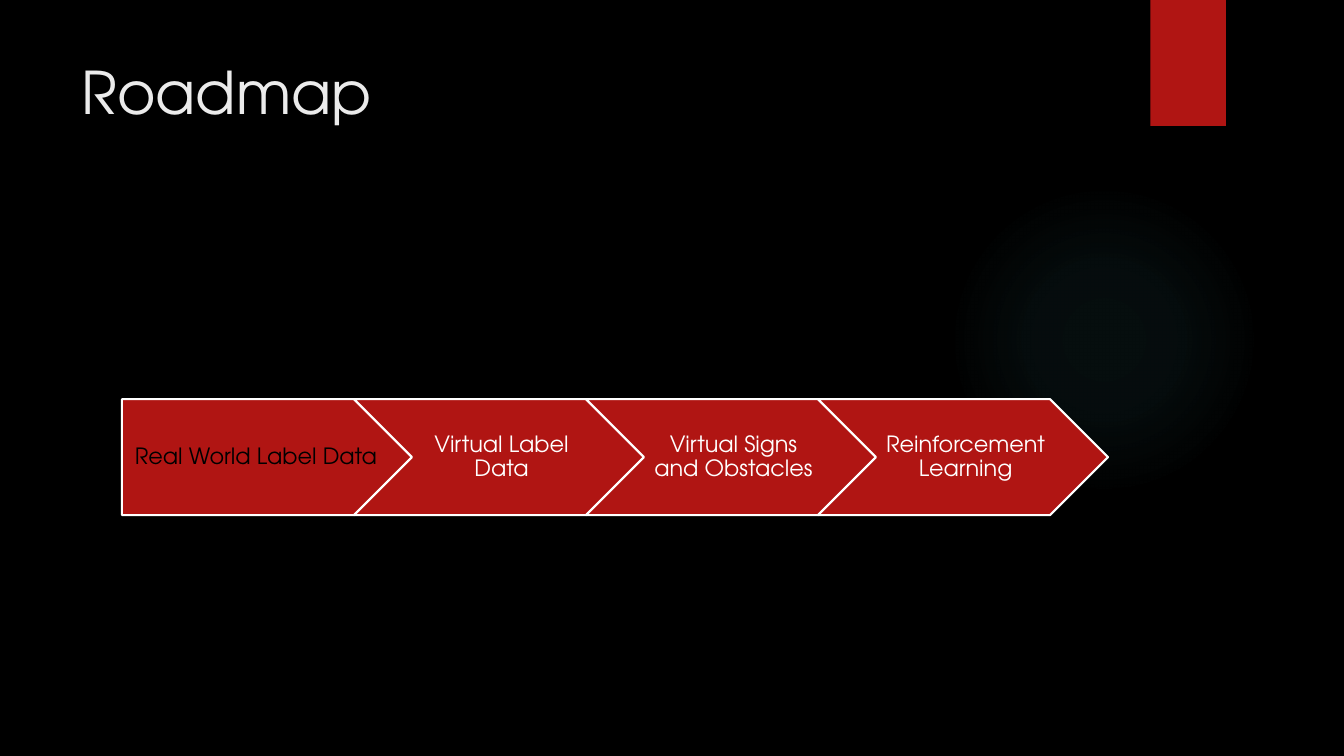
import pptx
import pptx.dml.color
import pptx.enum.shapes
import pptx.enum.text
import pptx.oxml
import pptx.oxml.ns
import pptx.util

Inches = pptx.util.Inches
SHAPE = pptx.enum.shapes.MSO_SHAPE
ANCHOR = pptx.enum.text.MSO_ANCHOR
ALIGN = pptx.enum.text.PP_ALIGN
FONT = "TeX Gyre Adventor"
RED = "B01513"
WHITE = "FFFFFF"
STEPS = [
    ("Real World Label Data", "010000"),
    ("Virtual Label Data", WHITE),
    ("Virtual Signs and Obstacles", WHITE),
    ("Reinforcement Learning", WHITE),
]


def color(code):
    return pptx.dml.color.RGBColor.from_string(code)


def add_shape(shapes, kind, box, fill=None, line=None):
    shape = shapes.add_shape(kind, *map(Inches, box))
    shape.shadow.inherit = False
    if fill:
        shape.fill.solid()
        shape.fill.fore_color.rgb = color(fill)
    else:
        shape.fill.background()
    if line:
        shape.line.color.rgb = color(line)
        shape.line.width = pptx.util.Pt(1.5)
    else:
        shape.line.fill.background()
    return shape


def add_text(shapes, box, text, size, ink, inset, anchor, align):
    frame = shapes.add_textbox(*map(Inches, box)).text_frame
    frame.word_wrap = True
    frame.vertical_anchor = anchor
    frame.margin_left, frame.margin_top, frame.margin_right, frame.margin_bottom = map(Inches, inset)
    para = frame.paragraphs[0]
    para.alignment = align
    run = para.add_run()
    run.text = text
    run.font.size = pptx.util.Pt(size)
    run.font.name = FONT
    run.font.color.rgb = color(ink)
    return para


def add_glow(shapes, box):
    glow = add_shape(shapes, SHAPE.OVAL, box)
    stops = "".join(
        f'<a:gs pos="{spot * 1000}"><a:srgbClr val="50B9C1">'
        f'<a:alpha val="{alpha * 1000}"/></a:srgbClr></a:gs>'
        for spot, alpha in [(0, 7), (36, 6), (69, 0), (100, 0)]
    )
    grad = pptx.oxml.parse_xml(
        f'<a:gradFill {pptx.oxml.ns.nsdecls("a")} rotWithShape="1"><a:gsLst>{stops}</a:gsLst>'
        '<a:path path="circle"><a:fillToRect l="50000" t="50000" r="50000" b="50000"/>'
        '</a:path></a:gradFill>'
    )
    props = glow._element.spPr
    props.replace(props.find(pptx.oxml.ns.qn("a:noFill")), grad)


def add_title(shapes, box):
    add_text(shapes, box, "Roadmap", 42, "EBEBEB", (0.1, 0.05, 0.1, 0.05),
             ANCHOR.TOP, ALIGN.LEFT)


def add_steps(shapes, box):
    """Fill the box with arrows, each overlapping the next by half its height."""
    left, top, width, high = box
    tip = high / 2
    pitch = (width - tip) / len(STEPS)
    group = shapes.add_group_shape().shapes
    for i, (text, ink) in enumerate(STEPS):
        x = left + i * pitch
        kind = SHAPE.CHEVRON if i else SHAPE.PENTAGON
        add_shape(group, kind, (x, top, pitch + tip, high), RED, WHITE)
        # The label stays clear of the notch and the point
        notch = tip if i else 0
        wide = pitch - tip if i else pitch + tip / 2
        inset = (0.07 if i else 0.09, 0.05, 0.02, 0.05)
        para = add_text(group, (x + notch, top, wide, high), text, 16, ink, inset,
                        ANCHOR.MIDDLE, ALIGN.CENTER)
        para.line_spacing = 0.9


def main():
    deck = pptx.Presentation()
    deck.slide_width, deck.slide_height = Inches(13.33), Inches(7.5)
    slide = deck.slides.add_slide(deck.slide_layouts[6])
    slide.background.fill.solid()
    slide.background.fill.fore_color.rgb = color("000000")
    shapes = slide.shapes

    # Backdrop
    add_glow(shapes, (9.41, 1.83, 3.08, 3.08))
    add_shape(shapes, SHAPE.RECTANGLE, (11.41, 0, 0.75, 1.25), RED)

    # Content
    add_title(shapes, (0.71, 0.5, 10.29, 1.53))
    add_steps(shapes, (1.21, 3.96, 9.78, 1.15))

    deck.save("out.pptx")


if __name__ == "__main__":
    main()
